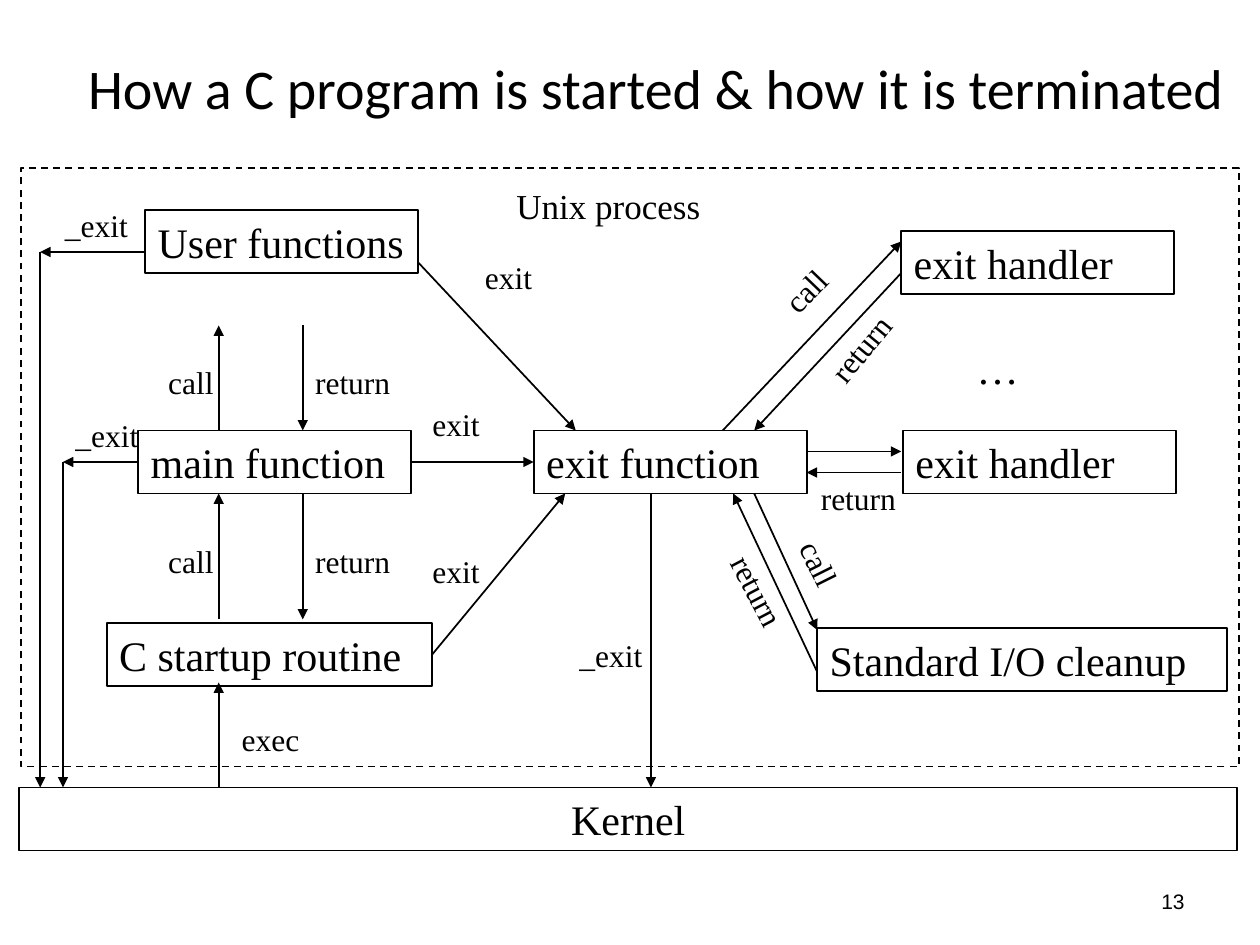
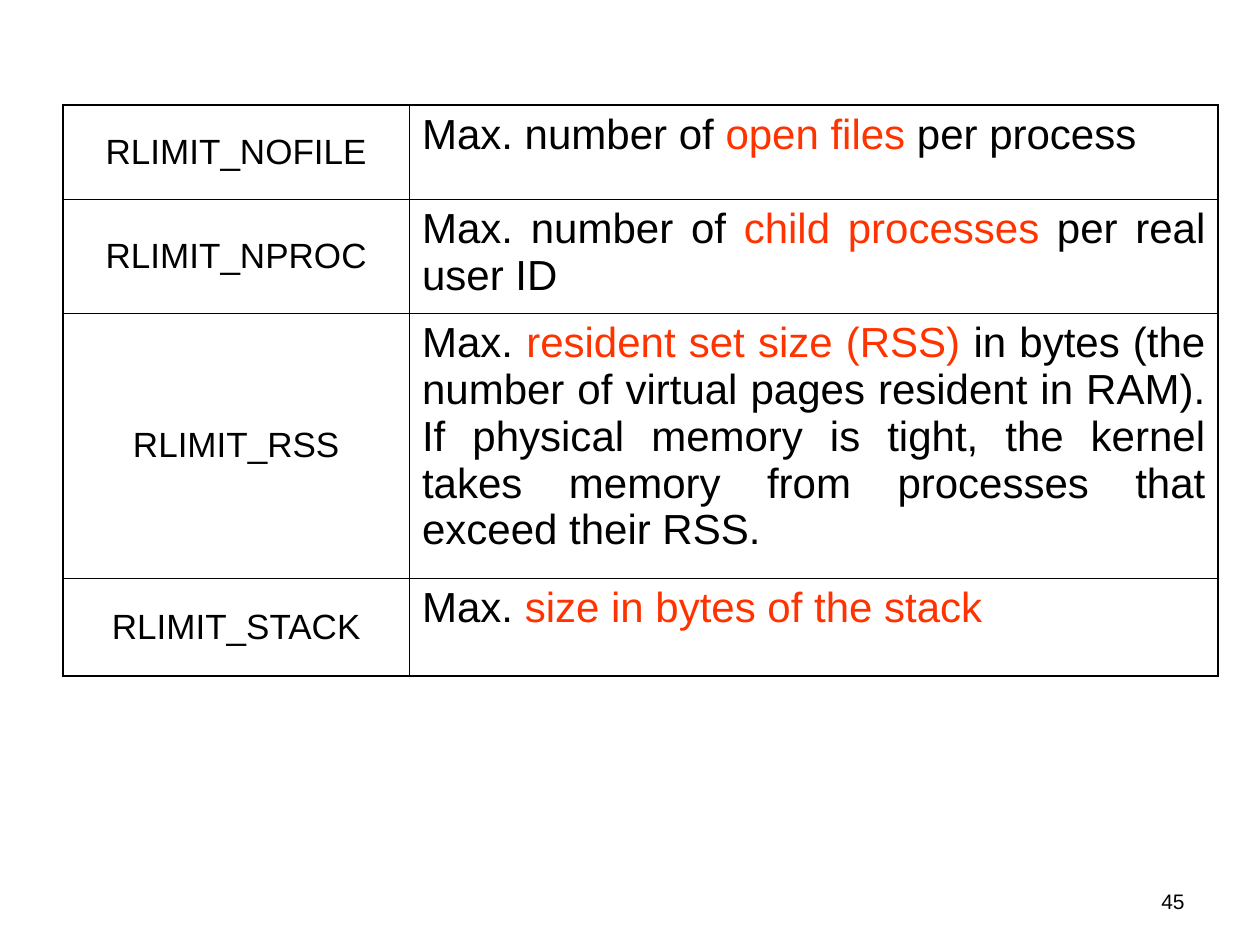
"""Build two slides on C process termination and resource limits."""

from lxml.etree import SubElement
from pptx import Presentation
from pptx.dml.color import RGBColor
from pptx.enum.dml import MSO_LINE_DASH_STYLE as Dash
from pptx.enum.shapes import MSO_CONNECTOR as Connector, MSO_SHAPE as Shape
from pptx.enum.text import MSO_ANCHOR as Anchor, PP_ALIGN as Align
from pptx.oxml import parse_xml
from pptx.oxml.ns import nsdecls, qn
from pptx.util import Pt

BLACK, RED = "000000", "FF3300"
SERIF, SANS, TITLE_FONT = "Times New Roman", "Arial", "Calibri"
LEFT, RIGHT = 1, 3
BOX_HEIGHT = 36
LABEL_WIDTHS = {"call": 48, "exec": 48, "exit": 60, "_exit": 60, "return": 66}

BOXES = {
    "user": ("User functions", 83, 120, 156),
    "main": ("main function", 79, 246, 156),
    "startup": ("C startup routine", 61, 356, 186),
    "exit": ("exit function", 305, 246, 156),
    "first handler": ("exit handler", 515, 132, 156),
    "last handler": ("exit handler", 516, 246, 156),
    "cleanup": ("Standard I/O cleanup", 467, 359, 234),
}

ARROWS = [
    ((125, 450), (125, 390)),
    ((125, 354), (125, 282)),
    ((125, 246), (125, 186)),
    ((173, 186), (173, 246)),
    ((173, 282), (173, 354)),
    ((239, 150), (329, 246)),
    (("main", RIGHT), ("exit", LEFT)),
    (("startup", RIGHT), (323, 282)),
    ((413, 246), (515, 138)),
    ((515, 156), (431, 246)),
    ((461, 258), (515, 258)),
    ((515, 270), (461, 270)),
    ((431, 282), (467, 360)),
    ((467, 384), (419, 282)),
    ((83, 144), (23, 144)),
    ((23, 144), (23, 450)),
    (("main", LEFT), (36, 264)),
    ((36, 264), (36, 450)),
    ((372, 282), (372, 450)),
]

LABELS = [
    ("call", 89, 204, 0),
    ("return", 173, 204, 0),
    ("call", 89, 306, 0),
    ("return", 173, 306, 0),
    ("exec", 131, 408, 0),
    ("_exit", 30, 114, 0),
    ("_exit", 36, 234, 0),
    ("_exit", 324, 360, 0),
    ("exit", 270, 144, 0),
    ("exit", 240, 228, 0),
    ("exit", 240, 312, 0),
    ("call", 439, 149, 313.9),
    ("return", 461.5, 181, 309.4),
    ("return", 462, 270, 0),
    ("return", 402, 327, 62.3),
    ("call", 446, 311, 63.5),
]

LIMITS = [
    ("RLIMIT_NOFILE", "Max. number of open files per process", "open files", 54),
    ("RLIMIT_NPROC", "Max. number of child processes per real user ID",
     "child processes", 65),
    ("RLIMIT_RSS",
     "Max. resident set size (RSS) in bytes (the number of virtual pages "
     "resident in RAM). If physical memory is tight, the kernel takes memory "
     "from processes that exceed their RSS.", "resident set size (RSS)", 151),
    ("RLIMIT_STACK", "Max. size in bytes of the stack",
     "size in bytes of the stack", 56),
]


def color(code):
    """Turn a hex string into a colour."""
    return RGBColor.from_string(code)


def write(frame, text, size=24, font=SERIF, align=Align.LEFT, accent=""):
    """Write one paragraph, with the accent phrase in red."""
    frame.word_wrap = True
    para = frame.paragraphs[0]
    para.alignment = align
    before, phrase, after = text.partition(accent) if accent else (text, "", "")
    for words, code in ((before, BLACK), (phrase, RED), (after, BLACK)):
        if words:
            span = para.add_run()
            span.text = words
            span.font.size = Pt(size)
            span.font.name = font
            span.font.color.rgb = color(code)


def add_text(page, text, left, top, width, height, turn=0, anchor=Anchor.TOP,
             **style):
    """Add a text box, turned by some degrees if asked."""
    box = page.shapes.add_textbox(Pt(left), Pt(top), Pt(width), Pt(height))
    box.rotation = turn
    box.text_frame.vertical_anchor = anchor
    write(box.text_frame, text, **style)


def add_box(page, text, left, top, width, height=BOX_HEIGHT, dash=None, **style):
    """Add an outlined rectangle with optional text."""
    box = page.shapes.add_shape(Shape.RECTANGLE, Pt(left), Pt(top), Pt(width),
                                Pt(height))
    box.shadow.inherit = False
    box.fill.background()
    box.line.color.rgb = color(BLACK)
    box.line.width = Pt(1)
    if dash:
        box.line.dash_style = dash
    box.text_frame.vertical_anchor = Anchor.TOP
    write(box.text_frame, text, **style)
    return box


def add_arrow(page, start, end, boxes):
    """Draw an arrow between points or (box name, side) pairs."""
    points = [(0, 0) if spot[0] in boxes else spot for spot in (start, end)]
    arrow = page.shapes.add_connector(
        Connector.STRAIGHT, *(Pt(value) for point in points for value in point))
    for spot, join in ((start, arrow.begin_connect), (end, arrow.end_connect)):
        if spot[0] in boxes:
            join(boxes[spot[0]], spot[1])
    arrow.line.color.rgb = color(BLACK)
    arrow.line.width = Pt(1)
    SubElement(arrow.line._get_or_add_ln(), qn("a:tailEnd"), type="triangle")
    SubElement(arrow._element.spPr, qn("a:effectLst"))


def set_borders(cell, widths):
    """Set the left, right, top and bottom border widths of a cell."""
    properties = cell._tc.get_or_add_tcPr()
    for index, (side, width) in enumerate(zip("LRTB", widths)):
        properties.insert(index, parse_xml(
            f'<a:ln{side} {nsdecls("a")} w="{Pt(width)}"><a:solidFill>'
            f'<a:srgbClr val="{BLACK}"/></a:solidFill></a:ln{side}>'))


def add_limits_table(page):
    """Add the table of resource limits with a heavier outer frame."""
    thick, thin = 1.08, 0.45
    heights = [limit[-1] for limit in LIMITS]
    table = page.shapes.add_table(len(LIMITS), 2, Pt(36), Pt(60), Pt(660),
                                  Pt(sum(heights))).table
    table.first_row = table.horz_banding = False
    for column, width in zip(table.columns, (198, 462)):
        column.width = Pt(width)
    for row, (name, meaning, accent, height) in enumerate(LIMITS):
        table.rows[row].height = Pt(height)
        name_cell, meaning_cell = table.cell(row, 0), table.cell(row, 1)
        name_cell.vertical_anchor = Anchor.MIDDLE
        write(name_cell.text_frame, name, size=20, font=SANS, align=Align.CENTER)
        write(meaning_cell.text_frame, meaning, font=SANS, align=Align.JUSTIFY,
              accent=accent)
        top = thin if row else thick
        bottom = thick if row == len(LIMITS) - 1 else thin
        for cell, sides in ((name_cell, (thick, thin)),
                            (meaning_cell, (thin, thick))):
            cell.fill.background()
            set_borders(cell, (*sides, top, bottom))


def add_page(deck, number):
    """Add a blank page with its number."""
    page = deck.slides.add_slide(deck.slide_layouts[6])
    add_text(page, number, 516, 500.5, 168, 29, anchor=Anchor.MIDDLE, size=12,
             font=SANS, align=Align.RIGHT)
    return page


def add_process_diagram(page):
    """Draw how the parts of a process call each other and the kernel."""
    add_text(page, "How a C program is started & how it is terminated", 30, 22,
             690, 56, anchor=Anchor.MIDDLE, size=32, font=TITLE_FONT,
             align=Align.CENTER)
    add_box(page, "", 12, 96, 696, 342, dash=Dash.DASH)
    add_text(page, "Unix process", 288, 102, 150, 32, size=20)
    add_box(page, "Kernel", 11, 450, 696, align=Align.CENTER)
    boxes = {name: add_box(page, *place) for name, place in BOXES.items()}
    add_text(page, "…", 551, 192, 84, BOX_HEIGHT)
    for start, end in ARROWS:
        add_arrow(page, start, end, boxes)
    for text, left, top, turn in LABELS:
        add_text(page, text, left, top, LABEL_WIDTHS[text], 29, turn=turn, size=18)


def main():
    """Build and save the deck."""
    deck = Presentation()
    deck.slide_width, deck.slide_height = Pt(720), Pt(540)
    add_process_diagram(add_page(deck, "13"))
    add_limits_table(add_page(deck, "45"))
    deck.save("out.pptx")


if __name__ == "__main__":
    main()
